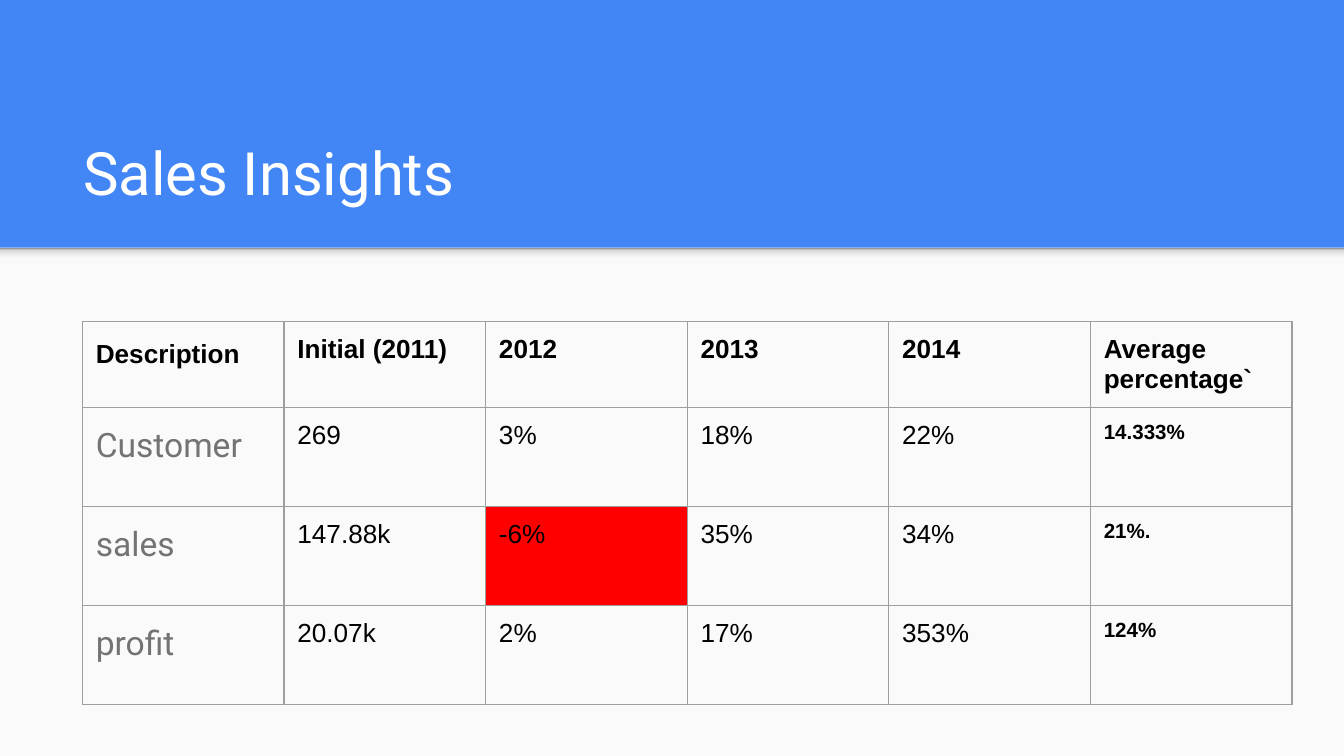
from lxml import etree
from pptx import Presentation
from pptx.dml.color import RGBColor
from pptx.enum.shapes import MSO_SHAPE
from pptx.enum.text import MSO_ANCHOR, PP_ALIGN
from pptx.oxml import parse_xml
from pptx.oxml.ns import nsdecls, qn
from pptx.util import Pt

RECT = MSO_SHAPE.RECTANGLE
BOTTOM = MSO_ANCHOR.BOTTOM
TOP = MSO_ANCHOR.TOP
LEFT = PP_ALIGN.LEFT
SCALE = 5715
PAD = 16
COLORS = {
    "blue": "4285F4", "paper": "FAFAFA", "white": "FFFFFF", "black": "000000",
    "gray": "737373", "line": "9E9E9E", "red": "FF0000",
}
SHADE = [(0, "F9F9F9"), (36, "F9F9F9"), (80, "DEDEDE"), (100, "999999")]
ROWS = [
    ["Description", "Initial (2011)", "2012", "2013", "2014", "Average percentage`"],
    ["Customer", "269", "3%", "18%", "22%", "14.333%"],
    ["sales", "147.88k", "-6%", "35%", "34%", "21%."],
    ["profit", "20.07k", "2%", "17%", "353%", "124%"],
]
WIDTH = 240
HEIGHTS = [102, 118, 118, 118]


def px(n):
    return n * SCALE


def rgb(name):
    return RGBColor.from_string(COLORS[name])


def write(frame, text, size=14, font="Arial", color="black", bold=False, lead=1.0, after=0):
    para = frame.paragraphs[0]
    para.alignment = LEFT
    para.line_spacing = lead
    para.space_before = Pt(0)
    para.space_after = Pt(after)
    run = para.add_run()
    run.text = text
    run.font.size = Pt(size)
    run.font.name = font
    run.font.bold = bold
    run.font.color.rgb = rgb(color)


def pad(item):
    item.margin_left = item.margin_right = px(PAD)
    item.margin_top = item.margin_bottom = px(PAD)


def add_rect(slide, x, y, w, h):
    rect = slide.shapes.add_shape(RECT, px(x), px(y), px(w), px(h))
    rect.shadow.inherit = False
    rect.line.fill.background()
    return rect


def add_panel(slide):
    panel = add_rect(slide, 0, 295, 1600, 605)
    panel.fill.solid()
    panel.fill.fore_color.rgb = rgb("paper")


def add_shade(slide):
    band = add_rect(slide, 0, 295, 1600, 19)
    stops = "".join(
        f'<a:gs pos="{pos * 1000}"><a:srgbClr val="{color}"/></a:gs>' for pos, color in SHADE
    )
    grad = parse_xml(
        f'<a:gradFill {nsdecls("a")}><a:gsLst>{stops}</a:gsLst>'
        '<a:lin ang="16200000" scaled="0"/></a:gradFill>'
    )
    band.element.spPr.find(qn("a:prstGeom")).addnext(grad)


def add_title(slide, text):
    title = slide.shapes.title
    title.left, title.top, title.width, title.height = map(px, (83, 129, 1438, 134))
    frame = title.text_frame
    frame.word_wrap = True
    frame.vertical_anchor = BOTTOM
    pad(frame)
    write(frame, text, size=32, font="Roboto", color="white")


def set_edges(cell):
    props = cell._tc.get_or_add_tcPr()
    for spot, side in enumerate(("lnL", "lnR", "lnT", "lnB")):
        edge = etree.Element(qn(f"a:{side}"), w=str(Pt(0.75)))
        fill = etree.SubElement(edge, qn("a:solidFill"))
        etree.SubElement(fill, qn("a:srgbClr"), val=COLORS["line"])
        props.insert(spot, edge)


def get_style(row, col):
    style = {"lead": 1.15, "after": 12} if col == 0 else {}
    if row == 0:
        style["bold"] = True
    elif col == 0:
        style.update(size=18, font="Roboto", color="gray")
    elif col == len(ROWS[0]) - 1:
        style.update(size=11, bold=True)
    return style


def add_grid(slide):
    count = len(ROWS[0])
    grid = slide.shapes.add_table(
        len(ROWS), count, px(98), px(383), px(WIDTH * count), px(sum(HEIGHTS))
    ).table
    grid.first_row = grid.horz_banding = False
    for col in grid.columns:
        col.width = px(WIDTH)
    for r, texts in enumerate(ROWS):
        grid.rows[r].height = px(HEIGHTS[r])
        for c, text in enumerate(texts):
            cell = grid.cell(r, c)
            pad(cell)
            cell.vertical_anchor = TOP
            if text.startswith("-"):
                cell.fill.solid()
                cell.fill.fore_color.rgb = rgb("red")
            else:
                cell.fill.background()
            set_edges(cell)
            write(cell.text_frame, text, **get_style(r, c))


def main():
    deck = Presentation()
    deck.slide_width, deck.slide_height = px(1600), px(900)
    slide = deck.slides.add_slide(deck.slide_layouts[5])
    back = slide.background.fill
    back.solid()
    back.fore_color.rgb = rgb("blue")
    add_panel(slide)
    add_shade(slide)
    add_title(slide, "Sales Insights")
    add_grid(slide)
    deck.save("out.pptx")


if __name__ == "__main__":
    main()
